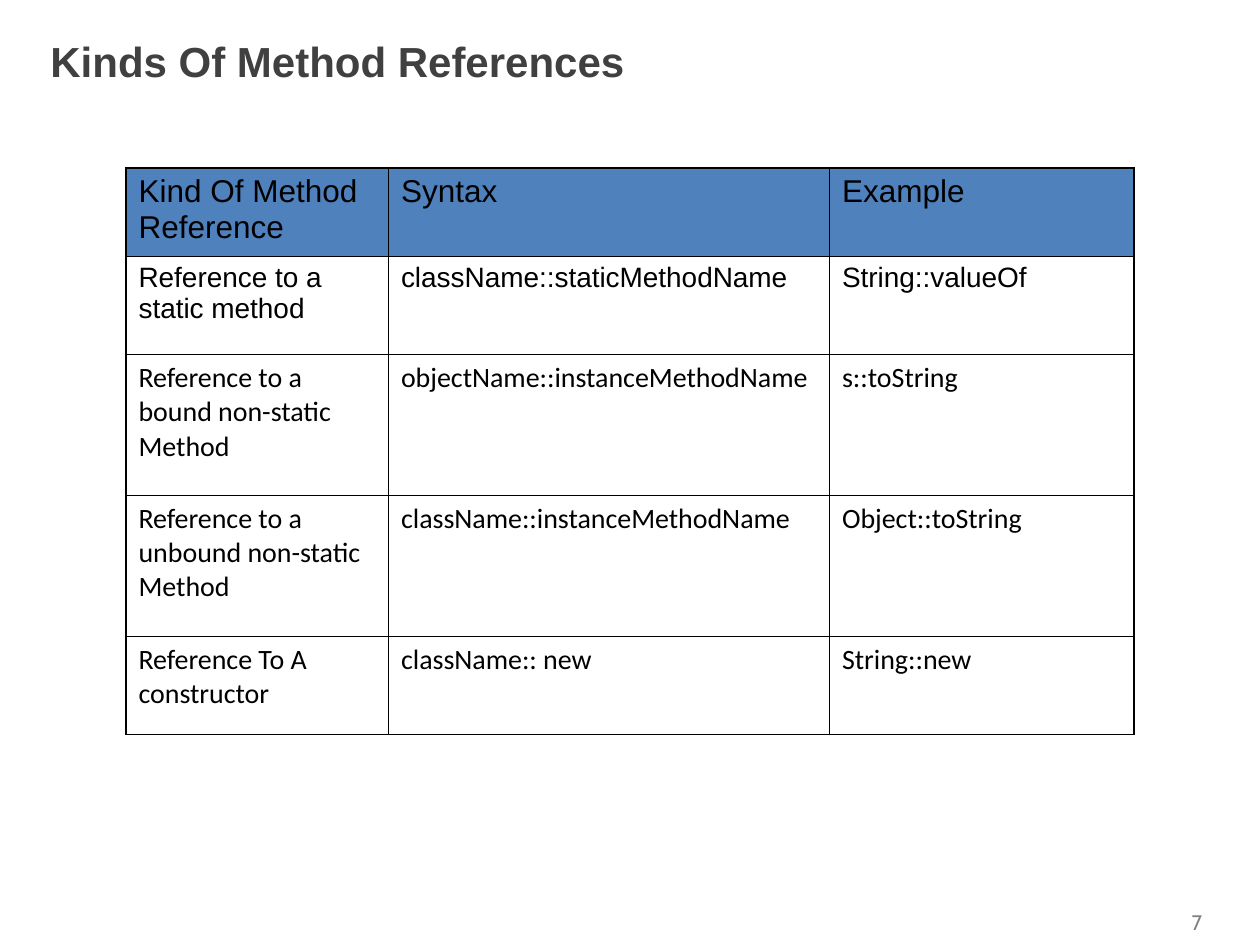
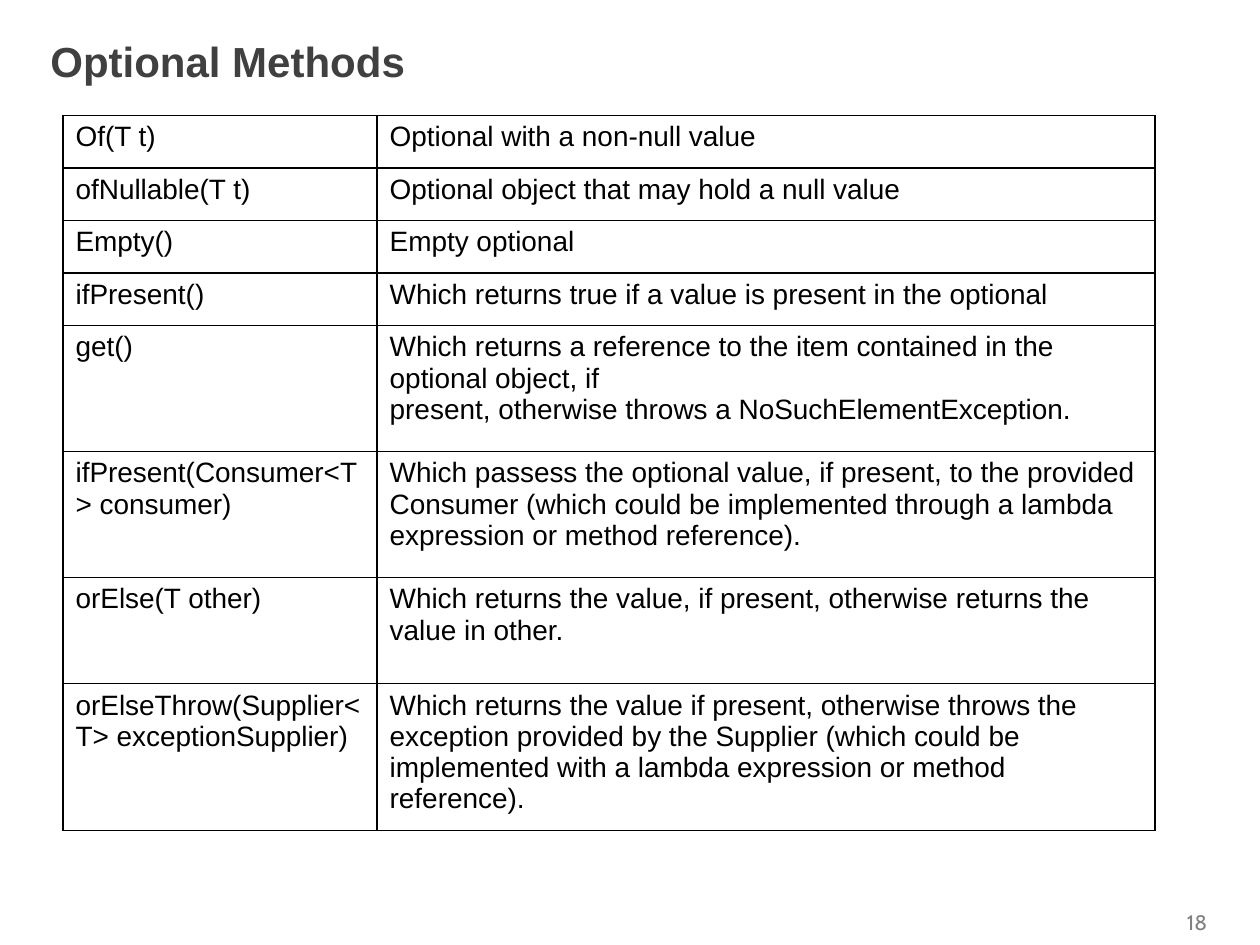
from lxml.etree import SubElement
from pptx import Presentation
from pptx.dml.color import RGBColor
from pptx.enum.text import MSO_ANCHOR, MSO_AUTO_SIZE, PP_ALIGN
from pptx.oxml import parse_xml
from pptx.oxml.ns import nsdecls
from pptx.util import Pt

BLACK = RGBColor(0x00, 0x00, 0x00)
WHITE = RGBColor(0xFF, 0xFF, 0xFF)
HEADER_BLUE = RGBColor(0x4F, 0x81, 0xBD)
TITLE_GREY = RGBColor(0x40, 0x40, 0x40)
NUMBER_GREY = RGBColor(0x80, 0x80, 0x80)

TITLE_FORMAT = {"name": "Arial", "size": Pt(24), "bold": True, "color": TITLE_GREY}
NUMBER_FORMAT = {"name": "Cabin", "size": Pt(12), "color": NUMBER_GREY}
HEADER_FORMAT = {"name": "Arial", "size": Pt(18), "color": BLACK}
ARIAL_FORMAT = {"name": "Arial", "size": Pt(16), "color": BLACK}
CALIBRI_FORMAT = {"name": "Calibri", "size": Pt(16), "color": BLACK}

TOPICS = [
    {
        "title": "Kinds Of Method References",
        "number": "7",
        "left": 72,
        "top": 96,
        "widths": [150, 252, 174],
        "rows": [
            (47.4, HEADER_BLUE, HEADER_FORMAT,
             ["Kind Of Method Reference", "Syntax", "Example"]),
            (56.2, WHITE, ARIAL_FORMAT,
             ["Reference to a static method", "className::staticMethodName",
              "String::valueOf"]),
            (80.5, WHITE, CALIBRI_FORMAT,
             ["Reference to a bound non-static\nMethod",
              "objectName::instanceMethodName", "s::toString"]),
            (80.5, WHITE, CALIBRI_FORMAT,
             ["Reference to a unbound non-static\nMethod",
              "className::instanceMethodName", "Object::toString"]),
            (56.2, WHITE, CALIBRI_FORMAT,
             ["Reference To A constructor", "className:: new", "String::new"]),
        ],
    },
    {
        "title": "Optional Methods",
        "number": "18",
        "left": 36,
        "top": 66,
        "widths": [179.5, 444.5],
        "rows": [
            (height, WHITE, ARIAL_FORMAT, [method, meaning])
            for height, method, meaning in [
                (30, "Of(T t)", "Optional with a non-null value"),
                (30, "ofNullable(T t)", "Optional object that may hold a null value"),
                (30, "Empty()", "Empty optional"),
                (30, "ifPresent()",
                 "Which returns true if a value is present in the optional"),
                (72, "get()",
                 "Which returns a reference to the item contained in the optional "
                 "object, if\npresent, otherwise throws a NoSuchElementException."),
                (72, "ifPresent(Consumer<T> consumer)",
                 "Which passess the optional value, if present, to the provided "
                 "Consumer (which could be implemented through a lambda expression "
                 "or method reference)."),
                (60.7, "orElse(T other)",
                 "Which returns the value, if present, otherwise returns the value "
                 "in other."),
                (78.5, "orElseThrow(Supplier<T> exceptionSupplier)",
                 "Which returns the value if present, otherwise throws the exception "
                 "provided by the Supplier (which could be implemented with a lambda "
                 "expression or method reference)."),
            ]
        ],
    },
]


def write(frame, text, formats, alignment=PP_ALIGN.LEFT):
    frame.text = text
    for paragraph in frame.paragraphs:
        paragraph.alignment = alignment
        for run in paragraph.runs:
            for attribute, value in formats.items():
                if attribute == "color":
                    run.font.color.rgb = value
                else:
                    setattr(run.font, attribute, value)


def draw_borders(cell):
    properties = cell._tc.get_or_add_tcPr()
    for position, side in enumerate(["lnL", "lnR", "lnT", "lnB"]):
        border = parse_xml(f'<a:{side} {nsdecls("a")} w="{Pt(1)}"/>')
        fill = SubElement(border, border.tag.replace(side, "solidFill"))
        SubElement(fill, border.tag.replace(side, "srgbClr"), val=str(BLACK))
        properties.insert(position, border)


deck = Presentation()
deck.slide_width, deck.slide_height = Pt(720), Pt(540)

for topic in TOPICS:
    slide = deck.slides.add_slide(deck.slide_layouts[5])

    title = slide.shapes.title
    title.left, title.top, title.width, title.height = Pt(21.6), Pt(12.24), Pt(674), Pt(45.4)
    write(title.text_frame, topic["title"], TITLE_FORMAT)
    title.text_frame.vertical_anchor = MSO_ANCHOR.MIDDLE

    page_number = slide.shapes.add_textbox(Pt(666), Pt(516.24), Pt(36), Pt(21.6)).text_frame
    page_number.word_wrap = True
    page_number.auto_size = MSO_AUTO_SIZE.SHAPE_TO_FIT_TEXT
    write(page_number, topic["number"], NUMBER_FORMAT, PP_ALIGN.CENTER)

    rows, widths = topic["rows"], topic["widths"]
    methods = slide.shapes.add_table(
        len(rows), len(widths), Pt(topic["left"]), Pt(topic["top"]),
        Pt(sum(widths)), Pt(sum(row[0] for row in rows))).table
    methods.first_row = methods.horz_banding = False
    for column, width in zip(methods.columns, widths):
        column.width = Pt(width)
    for row, (height, background, formats, texts) in zip(methods.rows, rows):
        row.height = Pt(height)
        for cell, text in zip(row.cells, texts):
            write(cell.text_frame, text, formats)
            cell.fill.solid()
            cell.fill.fore_color.rgb = background
            draw_borders(cell)

deck.save("out.pptx")
